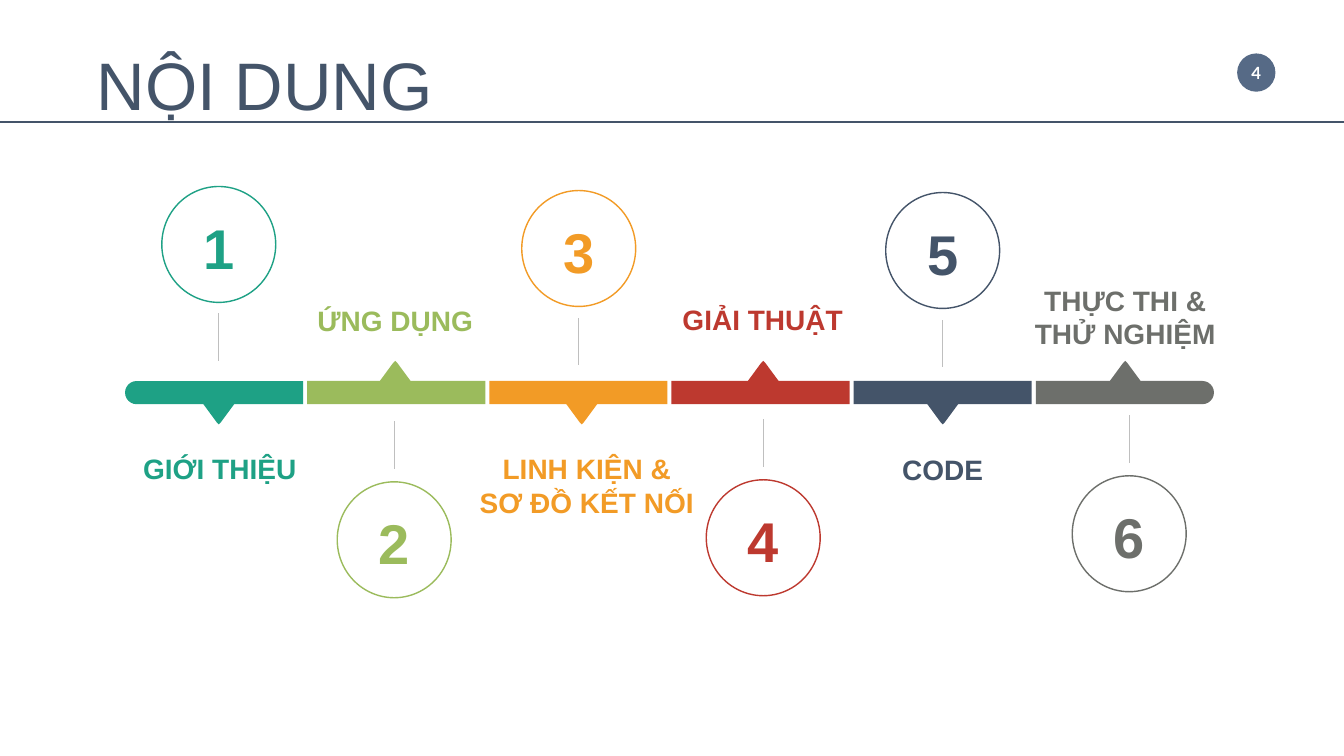
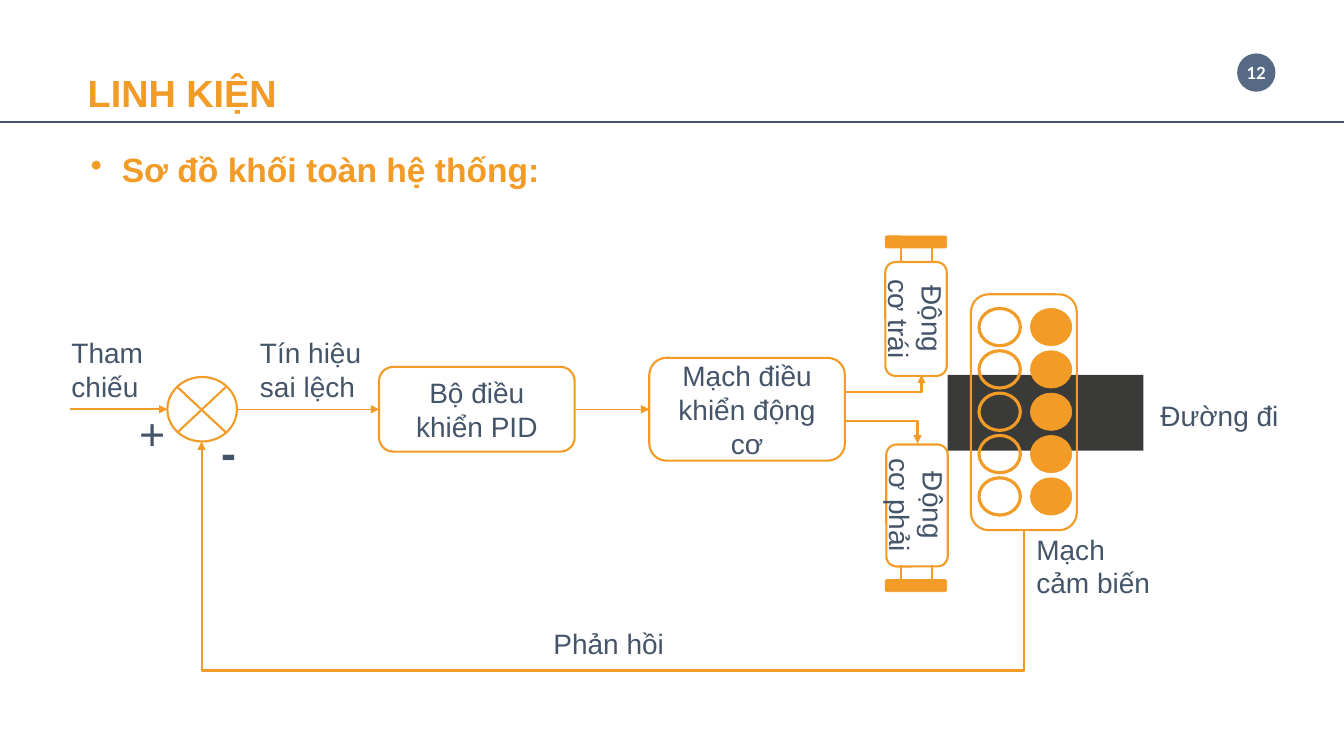
from dataclasses import dataclass

from lxml.etree import SubElement
from pptx import Presentation
from pptx.dml.color import RGBColor
from pptx.enum.shapes import MSO_CONNECTOR as WIRE, MSO_SHAPE as SHAPE
from pptx.enum.text import MSO_ANCHOR as ANCHOR, PP_ALIGN as ALIGN
from pptx.oxml.ns import qn
from pptx.util import Inches, Pt


@dataclass(frozen=True)
class Theme:
    font: str = "Arial"
    badge_font: str = "Lato"
    navy: str = "445469"
    badge: str = "566A86"
    white: str = "FFFFFF"
    teal: str = "1EA185"
    green: str = "9BBB5C"
    orange: str = "F29B26"
    red: str = "BD392F"
    grey: str = "6D6F6B"
    stem: str = "BFBFBF"
    road: str = "3A3A39"
    title: int = 48
    subtitle: int = 27
    lead: int = 24
    body: int = 20
    digit: int = 40
    sign: int = 32
    small: int = 12


T = Theme()


def put(slide, preset, box, text="", fill=None, line=None, weight=1.5, size=T.body,
        colour=T.navy, bold=False, align=None, font=T.font, wrap=True, turn=0):
    """Add a preset shape, or a text box when preset is None; box is in inches."""
    frame = [Inches(n) for n in box]
    if preset is None:
        item = slide.shapes.add_textbox(*frame)
    else:
        item = slide.shapes.add_shape(preset, *frame)
        item.shadow.inherit = False
        item.rotation = turn
        if fill:
            item.fill.solid()
            item.fill.fore_color.rgb = RGBColor.from_string(fill)
        else:
            item.fill.background()
        if line:
            item.line.color.rgb = RGBColor.from_string(line)
            item.line.width = Pt(weight)
        else:
            item.line.fill.background()
        item.text_frame.vertical_anchor = ANCHOR.MIDDLE
        align = align or ALIGN.CENTER
    if text:
        item.text_frame.word_wrap = wrap
        words = item.text_frame.paragraphs[0]
        words.text = text
        words.alignment = align
        words.font.name, words.font.size, words.font.bold = font, Pt(size), bold
        words.font.color.rgb = RGBColor.from_string(colour)
    return item


def wire(slide, start, end, colour=T.orange, weight=1.5, arrow=False, kind=WIRE.STRAIGHT):
    link = slide.shapes.add_connector(kind, *[Inches(n) for n in (*start, *end)])
    link.line.color.rgb = RGBColor.from_string(colour)
    link.line.width = Pt(weight)
    if arrow:
        SubElement(link.line._get_or_add_ln(), qn("a:tailEnd"), type="triangle")
    SubElement(link._element.spPr, qn("a:effectLst"))
    return link


deck = Presentation()
deck.slide_width, deck.slide_height = Inches(13.33), Inches(7.5)

# Title, rule and page badge
pages = []
for heading, number, left, top, size, colour, bold in [
    ("NỘI DUNG", "4", 0.86, 0.22, T.title, T.navy, False),
    ("LINH KIỆN", "12", 0.77, 0.55, T.subtitle, T.orange, True),
]:
    page = deck.slides.add_slide(deck.slide_layouts[5])
    pages.append(page)
    title = page.shapes.title
    title.left, title.top = Inches(left), Inches(top)
    title.width, title.height = Inches(11), Inches(1.2 - top)
    title.text_frame.text = heading
    title.text_frame.vertical_anchor = ANCHOR.TOP
    words = title.text_frame.paragraphs[0]
    words.alignment, words.line_spacing = ALIGN.LEFT, 1.2
    words.font.name, words.font.size, words.font.bold = T.font, Pt(size), bold
    words.font.color.rgb = RGBColor.from_string(colour)
    badge = put(page, SHAPE.OVAL, (12.27, 0.53, 0.38, 0.38), number, T.badge, size=T.small,
                colour=T.white, bold=True, font=T.badge_font, wrap=False)
    badge.text_frame.margin_top = badge.text_frame.margin_bottom = 0
    wire(page, (0, 1.21), (13.33, 1.21), T.navy, 1)
contents, diagram = pages

# Contents timeline
BAR_LEFT, BAR_RIGHT, BAR_TOP, BAR_HEIGHT, GAP = 1.24, 12.04, 3.78, 0.23, 0.04
CIRCLE_WIDTH, CIRCLE_HEIGHT = 1.13, 1.15
POINTER = [(-0.14, 0), (0.14, 0), (0.16, 0.02), (0.16, 0.04), (0.02, 0.23),
           (0, 0.25), (-0.02, 0.23), (-0.16, 0.04), (-0.16, 0.02)]
# topic, colour, circle axis, circle top, pointer axis, label left, top, width
steps = [
    ("GIỚI THIỆU", T.teal, 2.17, 1.85, 2.17, 1.32, 4.43, 1.72),
    ("ỨNG DỤNG", T.green, 3.91, 4.78, 3.92, 3.04, 2.96, 1.76),
    ("LINH KIỆN & SƠ ĐỒ KẾT NỐI", T.orange, 5.74, 1.89, 5.77, 4.65, 4.43, 2.34),
    ("GIẢI THUẬT", T.red, 7.57, 4.76, 7.57, 6.54, 2.95, 2.05),
    ("CODE", T.navy, 9.35, 1.91, 9.35, 8.41, 4.44, 1.88),
    ("THỰC THI & THỬ NGHIỆM", T.grey, 11.2, 4.72, 11.16, 10.15, 2.76, 2.02),
]
segment = (BAR_RIGHT - BAR_LEFT - GAP * (len(steps) - 1)) / len(steps)
end_turns = {0: 270, len(steps) - 1: 90}
for i, (topic, colour, axis, top, tip, label_left, label_top, label_width) in enumerate(steps):
    left = BAR_LEFT + i * (segment + GAP)
    if i in end_turns:
        upright = (left + (segment - BAR_HEIGHT) / 2, BAR_TOP + (BAR_HEIGHT - segment) / 2,
                   BAR_HEIGHT, segment)
        cap = put(contents, SHAPE.ROUND_2_SAME_RECTANGLE, upright, fill=colour, turn=end_turns[i])
        cap.adjustments[0], cap.adjustments[1] = 0.5, 0
    else:
        put(contents, SHAPE.RECTANGLE, (left, BAR_TOP, segment, BAR_HEIGHT), fill=colour)

    circle_above = i % 2 == 0
    base, way = (3.96, 1) if circle_above else (3.83, -1)
    corners = [(Inches(tip + x), Inches(base + way * y)) for x, y in POINTER]
    outline = contents.shapes.build_freeform(*corners[0])
    outline.add_line_segments(corners[1:])
    pointer = outline.convert_to_shape()
    pointer.shadow.inherit = False
    pointer.fill.solid()
    pointer.fill.fore_color.rgb = RGBColor.from_string(colour)
    pointer.line.fill.background()

    circle = put(contents, SHAPE.OVAL, (axis - CIRCLE_WIDTH / 2, top, CIRCLE_WIDTH, CIRCLE_HEIGHT),
                 str(i + 1), line=colour, weight=1, size=T.digit, colour=colour, bold=True,
                 wrap=False)
    circle.text_frame.margin_top = Inches(0.1)
    stem_top = top + 1.26 if circle_above else top - 0.6
    wire(contents, (axis, stem_top + 0.47), (axis, stem_top), T.stem, 0.75)
    put(contents, None, (label_left, label_top, label_width, 0.8), topic, colour=colour,
        bold=True, align=ALIGN.CENTER)

# Block diagram: lead line
lead = put(diagram, None, (0.8, 1.23, 11.81, 0.63), "Sơ đồ khối toàn hệ thống:",
           size=T.lead, colour=T.orange, bold=True).text_frame.paragraphs[0]
lead.line_spacing = 1.5
lead_format = lead._p.get_or_add_pPr()
lead_format.set("marL", str(Inches(0.31)))
lead_format.set("indent", str(-Inches(0.31)))
bullet = SubElement(lead_format, qn("a:buChar"), char="•")
lead_format.remove(bullet)
lead_format.insert(1, bullet)

# Summing point and controllers
put(diagram, SHAPE.OVAL, (1.66, 3.74, 0.69, 0.64), line=T.orange)
wire(diagram, (1.76, 3.84), (2.24, 4.29))
wire(diagram, (2.24, 3.84), (1.76, 4.29))
pid, driver = [
    put(diagram, SHAPE.ROUNDED_RECTANGLE, box, name, line=T.orange)
    for name, box in [("Bộ điều khiển PID", (3.76, 3.64, 1.94, 0.84)),
                      ("Mạch điều khiển động cơ", (6.44, 3.55, 1.94, 1.02))]
]

# Motors, wheels and axles
for name, motor_box, wheel_top, axle_top in [
    ("Động cơ trái", (8.52, 2.86, 1.13, 0.61), 2.34, 2.46),
    ("Động cơ phải", (8.49, 4.71, 1.21, 0.61), 5.75, 5.61),
]:
    put(diagram, SHAPE.ROUNDED_RECTANGLE, motor_box, name, line=T.orange, turn=90)
    put(diagram, SHAPE.FLOWCHART_ALTERNATE_PROCESS, (8.78, wheel_top, 0.61, 0.12),
        fill=T.orange, line=T.orange, weight=0.5)
    for x in (8.94, 9.24):
        wire(diagram, (x, axle_top + 0.14), (x, axle_top))

# Road and sensor board
put(diagram, SHAPE.RECTANGLE, (9.4, 3.72, 1.94, 0.75), fill=T.road)
put(diagram, SHAPE.ROUNDED_RECTANGLE, (9.63, 2.92, 1.05, 2.34), line=T.orange)
for row in range(5):
    for column, (fill, weight) in enumerate([(None, 2.25), (T.orange, 0.5)]):
        put(diagram, SHAPE.OVAL, (9.71 + 0.51 * column, 3.06 + 0.42 * row, 0.41, 0.37),
            fill=fill, line=T.orange, weight=weight)

# Signal flow
wire(diagram, (0.69, 4.06), (1.66, 4.06), arrow=True)
wire(diagram, (2.34, 4.06), (3.76, 4.06), weight=0.5, arrow=True).end_connect(pid, 1)
command = wire(diagram, (5.7, 4.06), (6.44, 4.06), weight=0.5, arrow=True)
command.begin_connect(pid, 3)
command.end_connect(driver, 1)
for start, end in [((8.38, 3.89), (9.14, 3.72)), ((8.38, 4.18), (9.1, 4.4))]:
    to_motor = wire(diagram, start, end, arrow=True, kind=WIRE.ELBOW)
    to_motor._element.spPr.find(qn("a:prstGeom")).set("prst", "bentConnector2")

# The feedback elbow is laid out upright and turned a quarter to run below the blocks
feedback = wire(diagram, (6.52, 0.74), (5.64, 8.9), arrow=True, kind=WIRE.ELBOW)
feedback._element.spPr.find(qn("a:xfrm")).set("rot", "5400000")
bend = feedback._element.spPr.find(qn("a:prstGeom")).find(qn("a:avLst"))
SubElement(bend, qn("a:gd"), name="adj1", fmla="val -158200")

for caption, box in [
    ("Tham chiếu", (0.61, 3.28, 1.11, 0.77)),
    ("Tín hiệu sai lệch", (2.48, 3.28, 1.27, 0.77)),
    ("Phản hồi", (5.39, 6.17, 1.33, 0.44)),
    ("Đường đi", (11.41, 3.9, 1.44, 0.44)),
    ("Mạch cảm biến", (10.18, 5.23, 1.33, 0.77)),
]:
    put(diagram, None, box, caption)
put(diagram, None, (1.29, 3.98, 0.46, 0.64), "+", size=T.sign)
put(diagram, None, (2.1, 4.16, 0.35, 0.64), "-", size=T.sign, bold=True)

deck.save("out.pptx")
